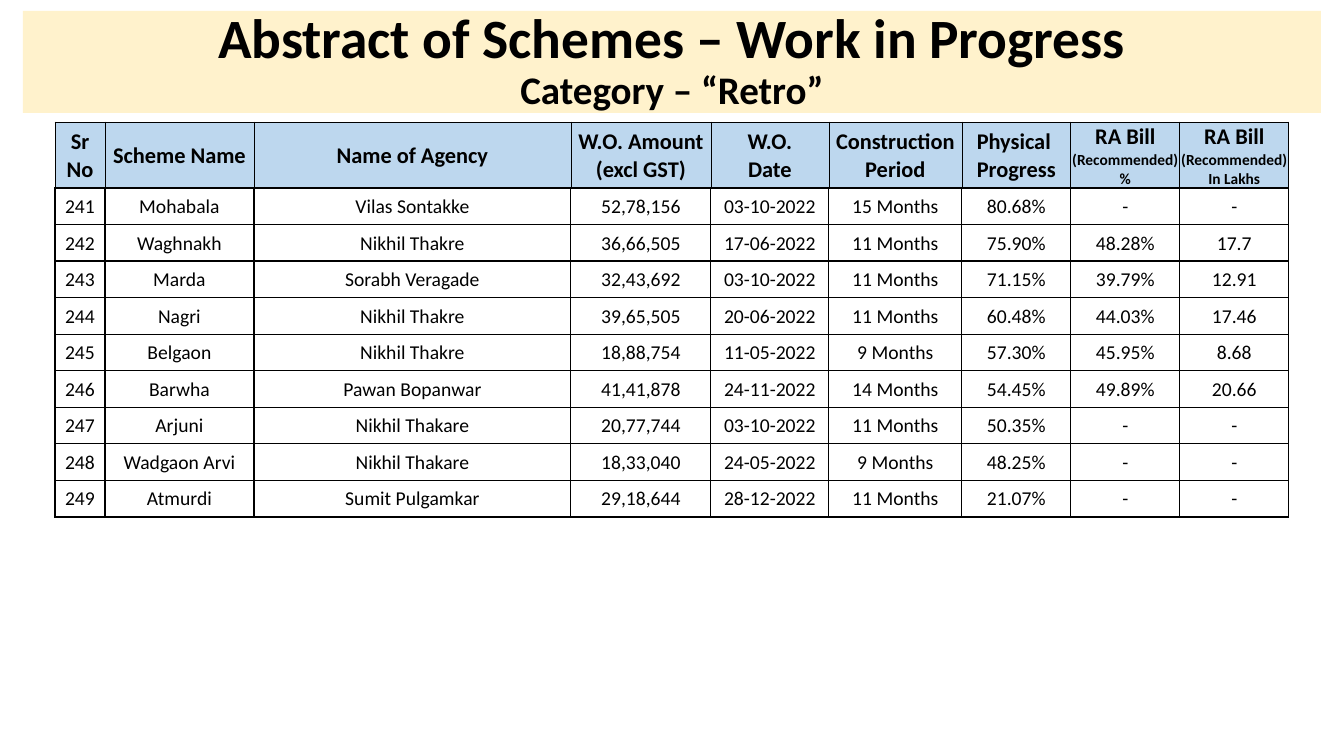
import pptx
import pptx.util
import pptx.dml.color
import pptx.enum.shapes
import pptx.enum.text
import pptx.oxml.ns
from lxml import etree

# Content
TITLE = [("Abstract of Schemes – Work in Progress", 39.6), ("Category – “Retro”", 27.9)]
# Each heading is a list of paragraphs: (text, size); "\n" is a line break
HEADINGS = [
    [("Sr No", 16)],
    [("Scheme Name", 16)],
    [("Name of Agency", 16)],
    [("W.O. Amount\n(excl GST)", 16)],
    [("W.O.\nDate", 16)],
    [("Construction\nPeriod", 16)],
    [("Physical ", 16), ("Progress", 16)],
    [("RA Bill", 16), ("(Recommended)", 11), ("%", 11)],
    [("RA Bill", 16), ("(Recommended)", 11), ("In Lakhs", 11)],
]
FIRST_NO = 241
SCHEMES = [
    ("Mohabala", "Vilas Sontakke", "52,78,156", "03-10-2022", "15 Months", "80.68%", "-", "-"),
    ("Waghnakh", "Nikhil Thakre", "36,66,505", "17-06-2022", "11 Months", "75.90%", "48.28%", "17.7"),
    ("Marda", "Sorabh Veragade", "32,43,692", "03-10-2022", "11 Months", "71.15%", "39.79%", "12.91"),
    ("Nagri", "Nikhil Thakre", "39,65,505", "20-06-2022", "11 Months", "60.48%", "44.03%", "17.46"),
    ("Belgaon", "Nikhil Thakre", "18,88,754", "11-05-2022", "9 Months", "57.30%", "45.95%", "8.68"),
    ("Barwha", "Pawan Bopanwar", "41,41,878", "24-11-2022", "14 Months", "54.45%", "49.89%", "20.66"),
    ("Arjuni", "Nikhil Thakare", "20,77,744", "03-10-2022", "11 Months", "50.35%", "-", "-"),
    ("Wadgaon Arvi", "Nikhil Thakare", "18,33,040", "24-05-2022", "9 Months", "48.25%", "-", "-"),
    ("Atmurdi", "Sumit Pulgamkar", "29,18,644", "28-12-2022", "11 Months", "21.07%", "-", "-"),
]

# Layout in pixels
SCALE = 914400 / 100.8
TITLE_BOX = (23, 11, 1298, 102)
LEFT, HEAD_TOP, HEAD_H, BODY_H = 55, 122, 66, 329
COL_W = [50, 149, 317, 140, 118, 133, 109, 109, 109]
CREAM, BLUE, BLACK = "FFF2CC", "BDD7EE", "000000"
CENTER = pptx.enum.text.PP_ALIGN.CENTER
MIDDLE = pptx.enum.text.MSO_ANCHOR.MIDDLE


def px(n):
    return pptx.util.Emu(round(n * SCALE))


def color(value):
    return pptx.dml.color.RGBColor.from_string(value)


def set_font(r, size, bold):
    for name, value in {"name": "Calibri", "size": pptx.util.Pt(size), "bold": bold}.items():
        setattr(r.font, name, value)
    r.font.color.rgb = color(BLACK)


def add_lines(p, lines, bold):
    p.alignment = CENTER
    for i, (text, size) in enumerate(lines):
        if i:
            p.add_line_break()
        r = p.add_run()
        r.text = text
        set_font(r, size, bold)


def set_border(cell, side, width):
    ln = etree.SubElement(cell._tc.get_or_add_tcPr(), pptx.oxml.ns.qn("a:ln" + side),
                          w=str(pptx.util.Pt(width)))
    fill = etree.SubElement(ln, pptx.oxml.ns.qn("a:solidFill"))
    etree.SubElement(fill, pptx.oxml.ns.qn("a:srgbClr"), val=BLACK)


def add_grid(s, top, height, rows, bold, fill, widths):
    """Rows hold cells, a cell holds paragraphs of (text, size)."""
    tbl = s.shapes.add_table(len(rows), len(COL_W), px(LEFT), px(top),
                             px(sum(COL_W)), px(height)).table
    tbl.first_row = tbl.horz_banding = False
    for col, w in zip(tbl.columns, COL_W):
        col.width = px(w)
    for i, row in enumerate(rows):
        tbl.rows[i].height = px(height / len(rows))
        for j, paragraphs in enumerate(row):
            cell = tbl.cell(i, j)
            cell.vertical_anchor = MIDDLE
            # Narrow side margins keep "(Recommended)" on one line
            for side, margin in {"left": 0.5, "right": 0.5, "top": 1, "bottom": 0}.items():
                setattr(cell, "margin_" + side, px(margin))
            for side, width in widths.items():
                set_border(cell, side, width)
            if fill:
                cell.fill.solid()
                cell.fill.fore_color.rgb = color(fill)
            else:
                cell.fill.background()
            tf = cell.text_frame
            for k, (text, size) in enumerate(paragraphs):
                p = tf.add_paragraph() if k else tf.paragraphs[0]
                add_lines(p, [(line, size) for line in text.split("\n")], bold)


prs = pptx.Presentation()
prs.slide_width, prs.slide_height = px(1344), px(756)
s = prs.slides.add_slide(prs.slide_layouts[6])

# Title band
sp = s.shapes.add_shape(pptx.enum.shapes.MSO_SHAPE.RECTANGLE, *map(px, TITLE_BOX))
sp.shadow.inherit = False
sp.fill.solid()
sp.fill.fore_color.rgb = color(CREAM)
sp.line.fill.background()
tf = sp.text_frame
tf.word_wrap, tf.vertical_anchor = True, MIDDLE
tf.paragraphs[0].line_spacing = 0.9
add_lines(tf.paragraphs[0], TITLE, True)

# Heading table and scheme table
add_grid(s, HEAD_TOP, HEAD_H, [HEADINGS], True, BLUE, {"L": 0.5, "R": 0.5, "T": 0.5, "B": 1})
body = [[[(text, 14)] for text in (str(no), *scheme)]
        for no, scheme in enumerate(SCHEMES, FIRST_NO)]
add_grid(s, HEAD_TOP + HEAD_H, BODY_H, body, False, None, dict.fromkeys("LRTB", 1))

prs.save("out.pptx")
